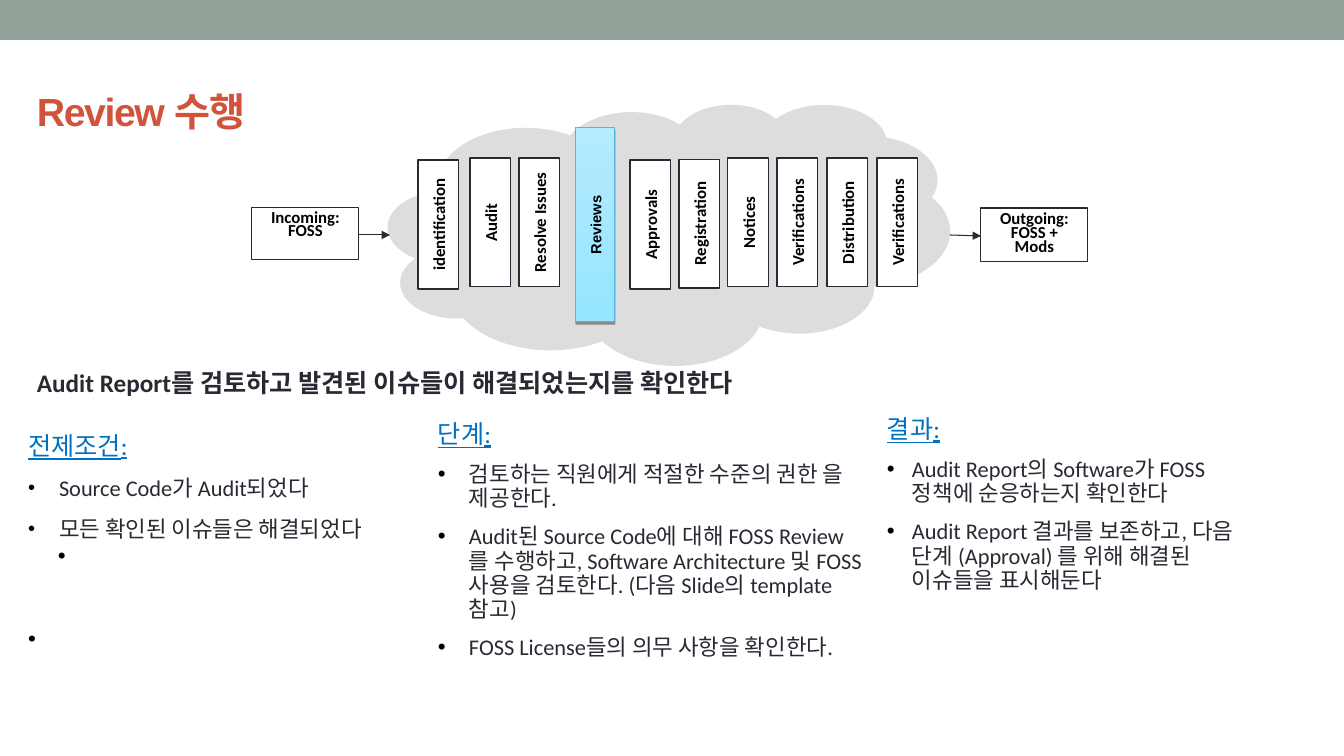
from lxml.etree import SubElement
from pptx import Presentation
from pptx.dml.color import RGBColor
from pptx.enum.shapes import MSO_CONNECTOR as Connector, MSO_SHAPE as Shape
from pptx.enum.text import MSO_ANCHOR as Anchor, MSO_AUTO_SIZE as AutoSize, PP_ALIGN as Align
from pptx.oxml import parse_xml
from pptx.oxml.ns import nsdecls, qn
from pptx.util import Pt

PX = 914400 / 100.8
COMPARISON_LAYOUT = 4

WHITE = RGBColor(0xFF, 0xFF, 0xFF)
BLACK = RGBColor(0x00, 0x00, 0x00)
INK = RGBColor(0x29, 0x29, 0x34)
SAGE = RGBColor(0x93, 0xA2, 0x99)
CLOUD_GRAY = RGBColor(0xDD, 0xDD, 0xDD)
RED = RGBColor(0xD2, 0x53, 0x3C)
BLUE = RGBColor(0x00, 0x70, 0xC0)
SKY_DARK = RGBColor(0x95, 0xE5, 0xFF)
SKY_LIGHT = RGBColor(0xB4, 0xEB, 0xFF)
SKY_LINE = RGBColor(0x55, 0xB4, 0xE5)

TITLE_FONT = {"name": "Arial", "size": Pt(28), "bold": True}
STATEMENT_FONT = {"name": "Calibri", "size": Pt(18), "bold": True}
HEADING_FONT = {"name": "Calibri", "size": Pt(18), "bold": False, "underline": True}
ITEM_FONT = {"name": "Calibri", "size": Pt(16), "bold": False}
BOX_FONT = {"name": "Calibri", "size": Pt(12), "bold": True}
REVIEW_FONT = {"name": "Arial", "size": Pt(10.5), "bold": True}

STAGE_SIZE = (41, 129)
STAGES = [
    ("identification", 418, 160), ("Audit", 470, 158), ("Resolve Issues", 519, 158),
    ("Approvals", 630, 160), ("Registration", 679, 159), ("Notices", 728, 158),
    ("Verifications", 777, 158), ("Distribution", 827, 158), ("Verifications", 877, 158),
]

PRECONDITIONS = ["Source Code가 Audit되었다", "모든 확인된 이슈들은 해결되었다"]
STEPS = [
    "검토하는 직원에게 적절한 수준의 권한 을 제공한다.",
    "Audit된 Source Code에 대해 FOSS Review를 수행하고, Software Architecture 및 "
    "FOSS 사용을 검토한다. (다음 Slide의 template참고)",
    "FOSS License들의 의무 사항을 확인한다.",
]
RESULTS = [
    "Audit Report의 Software가 FOSS 정책에 순응하는지 확인한다",
    "Audit Report 결과를 보존하고, 다음 단계 (Approval) 를 위해 해결된 이슈들을 표시해둔다",
]


def px(value):
    return round(value * PX)


def apply(target, values):
    for name, value in values.items():
        setattr(target, name, value)


def place(shape, box):
    apply(shape, dict(zip(("left", "top", "width", "height"), map(px, box))))


def set_margins(frame, left, top, right, bottom):
    apply(frame, {"margin_left": px(left), "margin_top": px(top),
                  "margin_right": px(right), "margin_bottom": px(bottom)})


def write(paragraph, text, font, color, **layout):
    run = paragraph.add_run()
    run.text = text
    apply(run.font, font)
    run.font.color.rgb = color
    apply(paragraph, layout)
    return run


def set_bullet(paragraph, indent=0, hanging=0, size=100):
    properties = paragraph._p.get_or_add_pPr()
    properties.set("marL", str(px(indent)))
    properties.set("indent", str(-px(hanging)))
    if not hanging:
        SubElement(properties, qn("a:buNone"))
        return
    color = SubElement(properties, qn("a:buClr"))
    SubElement(color, qn("a:srgbClr")).set("val", str(BLACK))
    SubElement(properties, qn("a:buSzPct")).set("val", str(size * 1000))
    SubElement(properties, qn("a:buFont")).set("typeface", "Arial")
    SubElement(properties, qn("a:buChar")).set("char", "•")


def add_block(slide, shape_type, box, fill, line=None):
    shape = slide.shapes.add_shape(shape_type, *map(px, box))
    shape.shadow.inherit = False
    shape.fill.solid()
    shape.fill.fore_color.rgb = fill
    if line is None:
        shape.line.fill.background()
    else:
        shape.line.color.rgb = line
        shape.line.width = Pt(0.75)
    return shape


def add_stage(slide, name, box, font=BOX_FONT, line=INK):
    shape = add_block(slide, Shape.RECTANGLE, box, WHITE, line)
    frame = shape.text_frame
    apply(frame, {"word_wrap": True, "vertical_anchor": Anchor.MIDDLE})
    set_margins(frame, 5, 10, 5, 10)
    frame._txBody.bodyPr.set("vert", "vert270")
    write(frame.paragraphs[0], name, font, BLACK, alignment=Align.CENTER)
    return shape


def add_review_stage(slide):
    shape = add_stage(slide, "Reviews", (576, 128, 39, 194), REVIEW_FONT, SKY_LINE)
    shape.fill.gradient()
    shape.fill.gradient_angle = 90
    for stop, color in zip(shape.fill.gradient_stops, (SKY_DARK, SKY_LIGHT)):
        stop.color.rgb = color
    effects = shape._element.spPr.find(qn("a:effectLst"))
    effects.append(parse_xml(
        f'<a:outerShdw {nsdecls("a")} blurRad="0" dist="20320" dir="5400000" rotWithShape="0">'
        '<a:srgbClr val="000000"><a:alpha val="38000"/></a:srgbClr></a:outerShdw>'))


def add_endpoint(slide, lines, box, spacing):
    frame = add_block(slide, Shape.RECTANGLE, box, WHITE, INK).text_frame
    apply(frame, {"word_wrap": True, "vertical_anchor": Anchor.TOP})
    set_margins(frame, 10, 5, 10, 5)
    for index, text in enumerate(lines):
        paragraph = frame.add_paragraph() if index else frame.paragraphs[0]
        write(paragraph, text, BOX_FONT, BLACK, alignment=Align.CENTER, line_spacing=spacing)


def add_arrow(slide, *ends):
    arrow = slide.shapes.add_connector(Connector.STRAIGHT, *map(px, ends))
    arrow.line.color.rgb = INK
    arrow.line.width = Pt(0.75)
    SubElement(arrow.line._get_or_add_ln(), qn("a:tailEnd")).set("type", "triangle")
    SubElement(arrow._element.spPr, qn("a:effectLst"))


def prepare_placeholder(placeholder, box, anchor=Anchor.TOP):
    place(placeholder, box)
    frame = placeholder.text_frame
    apply(frame, {"word_wrap": True, "auto_size": AutoSize.NONE, "vertical_anchor": anchor})
    set_margins(frame, 10, 5, 10, 5)
    return frame


def fill_column(placeholder, box, heading, items, indent, heading_spacing=0.9,
                item_spacing=0.9, bullet_size=100):
    frame = prepare_placeholder(placeholder, box)
    write(frame.paragraphs[0], heading, HEADING_FONT, BLUE,
          line_spacing=heading_spacing, space_before=Pt(10))
    set_bullet(frame.paragraphs[0])
    for text in items:
        paragraph = frame.add_paragraph()
        write(paragraph, text, ITEM_FONT, INK, line_spacing=item_spacing, space_before=Pt(10))
        set_bullet(paragraph, indent, indent, bullet_size)
    return frame


def add_open_bullet(frame, indent, hanging, gap):
    paragraph = frame.add_paragraph()
    write(paragraph, " ", ITEM_FONT, INK, line_spacing=1.0, space_before=Pt(gap))
    set_bullet(paragraph, indent, hanging)


def add_flow(slide):
    add_block(slide, Shape.CLOUD, (388, 104, 562, 261), CLOUD_GRAY)
    add_endpoint(slide, ["Incoming:", "FOSS"], (252, 208, 107, 52), 0.65)
    add_endpoint(slide, ["Outgoing:", "FOSS + Mods"], (981, 208, 107, 54), 0.7)
    add_arrow(slide, 359, 235, 390, 235)
    add_arrow(slide, 950, 235, 981, 236)
    add_review_stage(slide)
    for name, left, top in STAGES:
        add_stage(slide, name, (left, top, *STAGE_SIZE))


def main():
    presentation = Presentation()
    apply(presentation, {"slide_width": px(1344), "slide_height": px(756)})
    slide = presentation.slides.add_slide(presentation.slide_layouts[COMPARISON_LAYOUT])
    title, statement, left, middle, right = list(slide.placeholders)[:5]

    add_block(slide, Shape.RECTANGLE, (0, 0, 1344, 40), SAGE)
    frame = prepare_placeholder(title, (27, 56, 1210, 109), Anchor.MIDDLE)
    run = write(frame.paragraphs[0], "Review 수행", TITLE_FONT, RED, alignment=Align.LEFT)
    run.font._element.set("spc", "-100")
    add_flow(slide)

    frame = prepare_placeholder(statement, (27, 362, 1316, 40))
    write(frame.paragraphs[0], "Audit Report를 검토하고 발견된 이슈들이 해결되었는지를 확인한다",
          STATEMENT_FONT, INK, space_before=Pt(0))
    set_bullet(frame.paragraphs[0])

    frame = fill_column(left, (0, 395, 418, 329), "전제조건:", PRECONDITIONS, 31, 1.5, 1.0, 90)
    set_margins(frame, 28, 20, 20, 24)
    add_open_bullet(frame, 68, 38, 0)
    add_open_bullet(frame, 30, 30, 40)
    fill_column(middle, (428, 417, 446, 305), "단계:", STEPS, 31)
    fill_column(right, (877, 412, 398, 312), "결과:", RESULTS, 25)
    presentation.save("out.pptx")


if __name__ == "__main__":
    main()
